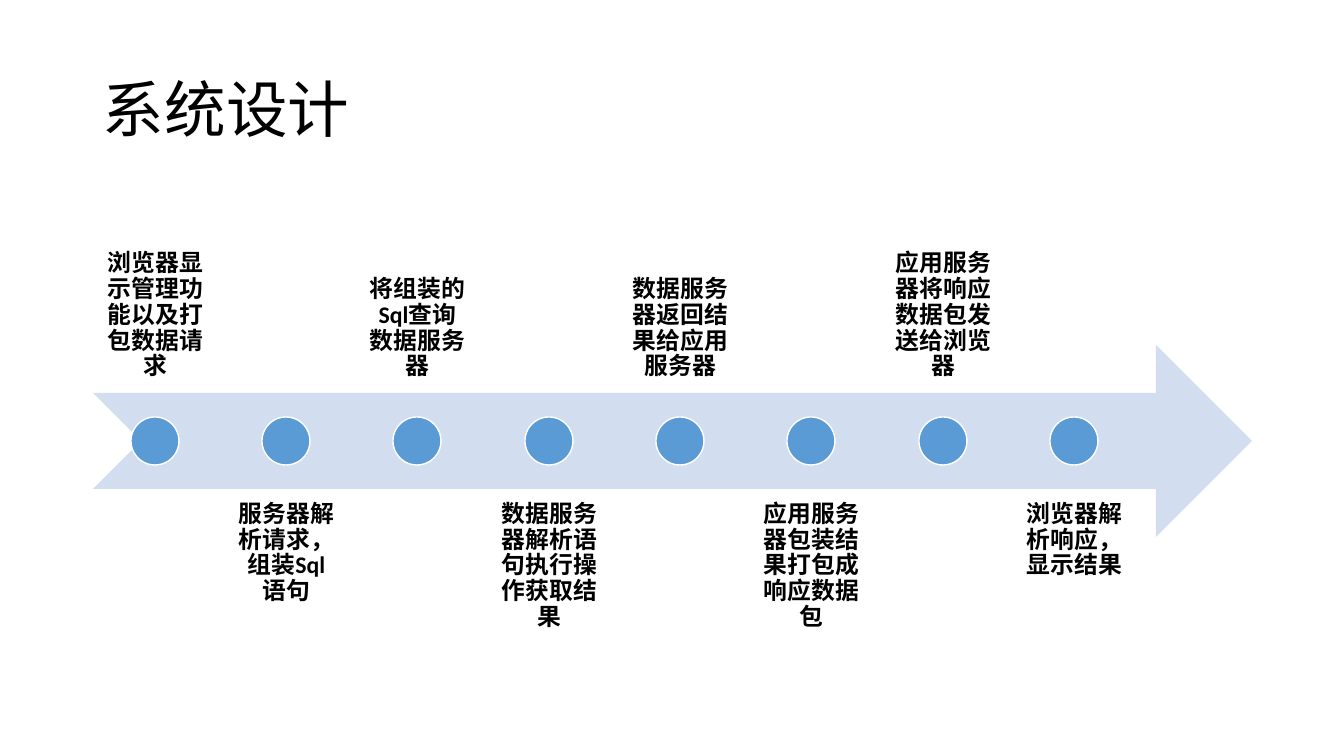
from pptx import Presentation
from pptx.dml.color import RGBColor
from pptx.enum.shapes import MSO_SHAPE
from pptx.enum.text import MSO_ANCHOR, PP_ALIGN
from pptx.util import Emu, Pt

SCALE = 914400 / 100.8  # EMU per pixel
COLORS = {"text": "000000", "arrow": "D2DEEF", "dot": "5B9BD5", "outline": "FFFFFF"}
STEPS = [
    "浏览器显示管理功能以及打包数据请求",
    "服务器解析请求，组装Sql语句",
    "将组装的Sql查询数据服务器",
    "数据服务器解析语句执行操作获取结果",
    "数据服务器返回结果给应用服务器",
    "应用服务器包装结果打包成响应数据包",
    "应用服务器将响应数据包发送给浏览器",
    "浏览器解析响应，显示结果",
]

prs = Presentation()
prs.slide_width, prs.slide_height = Emu(round(1344 * SCALE)), Emu(round(756 * SCALE))
slide = prs.slides.add_slide(prs.slide_layouts[6])


def add_text(text, box, size, anchor, align, bold=False, inset=None):
    frame = slide.shapes.add_textbox(*[Emu(round(v * SCALE)) for v in box]).text_frame
    frame.word_wrap = True
    frame.vertical_anchor = anchor
    if inset is not None:
        frame.margin_left = frame.margin_right = Emu(round(inset * SCALE))
        frame.margin_top = frame.margin_bottom = Emu(round(inset * SCALE))
    paragraph = frame.paragraphs[0]
    paragraph.alignment = align
    paragraph.line_spacing = 0.9
    run = paragraph.add_run()
    run.text = text
    run.font.name, run.font.size, run.font.bold = "Calibri", Pt(size), bold
    run.font.color.rgb = RGBColor.from_string(COLORS["text"])


def add_filled(kind, box, color):
    shape = slide.shapes.add_shape(kind, *[Emu(round(v * SCALE)) for v in box])
    shape.shadow.inherit = False
    shape.fill.solid()
    shape.fill.fore_color.rgb = RGBColor.from_string(COLORS[color])
    shape.line.fill.background()
    return shape


# Title
add_text("系统设计", (93, 40, 1159, 146), 44, MSO_ANCHOR.MIDDLE, PP_ALIGN.LEFT)

# Timeline arrow
add_filled(MSO_SHAPE.NOTCHED_RIGHT_ARROW, (93, 345, 1159, 192), "arrow")

# Steps: labels alternate above and below the arrow
LEFT, LABEL_W, LABEL_H, DOT = 93, 125, 192, 48
PITCH = 1050 / 8
for i, step in enumerate(STEPS):
    x = LEFT + round(i * PITCH)
    above = i % 2 == 0
    add_text(step, (x, 201 if above else 489, LABEL_W, LABEL_H), 17,
             MSO_ANCHOR.BOTTOM if above else MSO_ANCHOR.TOP, PP_ALIGN.CENTER,
             bold=True, inset=13)
    dot = add_filled(MSO_SHAPE.OVAL, (x + (LABEL_W - DOT) // 2, 417, DOT, DOT), "dot")
    dot.line.color.rgb = RGBColor.from_string(COLORS["outline"])
    dot.line.width = Pt(1)

prs.save("out.pptx")
